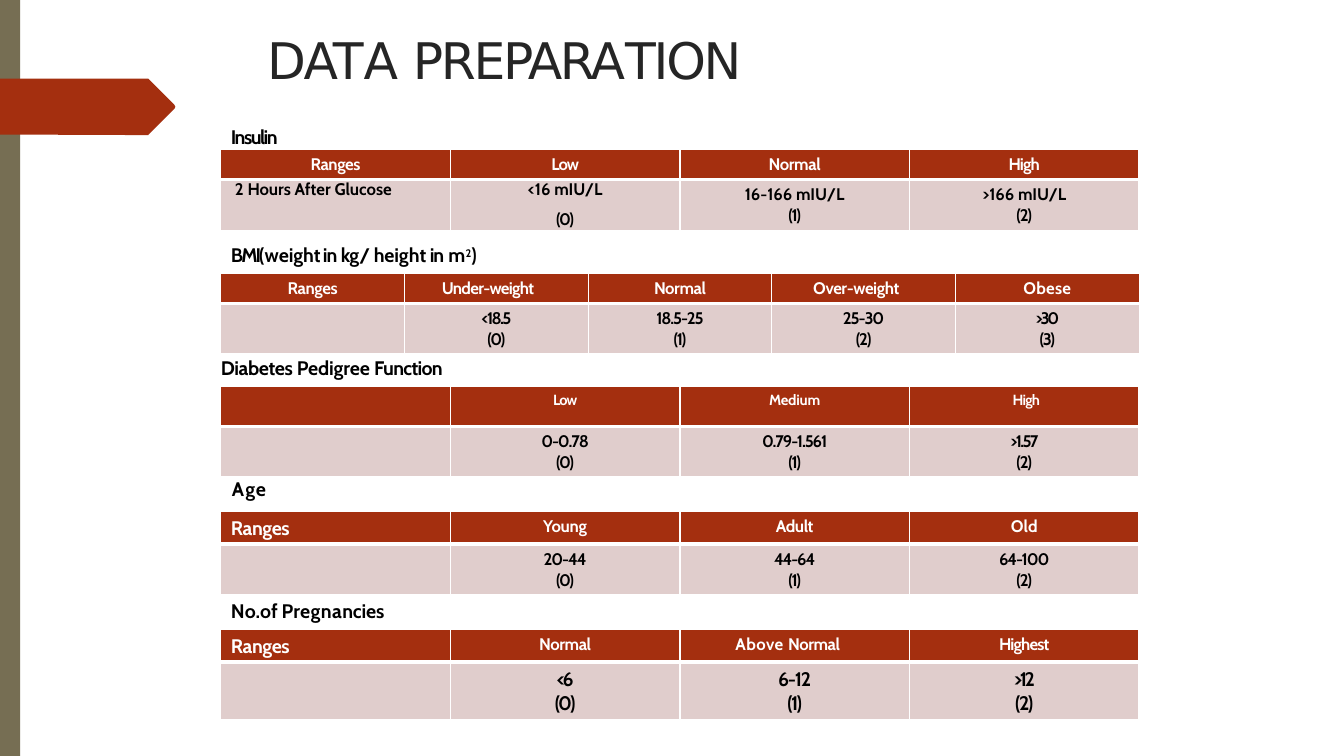
"""Build the data preparation slide with its five range tables."""
from dataclasses import dataclass
from typing import NamedTuple, Optional

from lxml import etree
from pptx import Presentation
from pptx import slide as s
from pptx import util as u
from pptx.dml import color as c
from pptx.enum import shapes, text
from pptx.oxml import ns
from pptx.text import text as t


@dataclass(frozen=True)
class Theme:
    olive: str = "766E53"
    rust: str = "A42F0F"
    blush: str = "E0CDCC"
    white: str = "FFFFFF"
    black: str = "000000"
    charcoal: str = "252525"
    body_font: str = "Cabin"
    title_font: str = "DejaVu Sans"
    title: float = 36
    label: float = 14
    cell: float = 12
    small: float = 10.5
    superscript: float = 13.5
    thin: float = 1
    thick: float = 3


THEME = Theme()
WIDTH, HEIGHT = u.Inches(13.33), u.Inches(7.5)
TABLE_LEFT, TABLE_WIDTH = 16.43, 68.33
CELL_INSET, LABEL_INSET, LABEL_HEIGHT = 0.67, 0.13, 3.47


def cols(count: float) -> u.Emu:
    return u.Emu(round(WIDTH * count / 100))


def rows(count: float) -> u.Emu:
    return u.Emu(round(HEIGHT * count / 100))


class Span(NamedTuple):
    words: str
    spacing: float = 0
    size: Optional[float] = None
    raised: bool = False


class Line(NamedTuple):
    spans: list[Span]
    before: float = 0
    indent: float = 0
    centred: bool = True
    exact: Optional[float] = None


class Entry(NamedTuple):
    lines: list[Line]
    inset: float = CELL_INSET


class Look(NamedTuple):
    size: float
    colour: str
    font: str = THEME.body_font
    bold: bool = True


class Label(NamedTuple):
    left: float
    top: float
    width: float
    spans: list[Span]
    before: float = 1.1
    indent: float = 0.08
    height: float = LABEL_HEIGHT
    look: Look = Look(THEME.label, THEME.black)


class RangeTable(NamedTuple):
    top: float
    heights: tuple[float, float]
    header: list[Entry]
    body: list[Entry]
    header_size: float = THEME.cell
    body_size: float = THEME.cell


EMPTY = Entry([])


def head(words: str, spacing: float, before: float = 3.5, indent: float = 0,
         centred: bool = True, size: Optional[float] = None) -> Entry:
    return Entry([Line([Span(words, spacing, size)], before, indent, centred)])


def graded(rank: int, *spans: Span, before: float = 3.5, tight: float = -0.9) -> Entry:
    return Entry([Line(list(spans), before), Line([Span(f"({rank})", tight)])])


def graded_row(ranges: list[tuple[str, float]], before: float = 3.5, tight: float = -0.9) -> list[Entry]:
    return [EMPTY] + [graded(rank, Span(*span), before=before, tight=tight)
                      for rank, span in enumerate(ranges)]


RANGES = head("Ranges", -0.3, 3.4)
LARGE_RANGES = head("Ranges", -0.3, indent=0.75, centred=False, size=THEME.label)
TABLES = [
    RangeTable(19.73, (4, 6.8),
               [RANGES, head("Low", -0.8, 3.4), head("Normal", -0.3, 3.4), head("High", -0.6, 3.4)],
               [Entry([Line([Span("2 "), Span("Hour", -0.1), Span("s After Glucose")],
                            indent=1.05, centred=False, exact=14.2)], 0),
                Entry([Line([Span("<1", -0.1), Span("6 mIU/L")], exact=14.2),
                       Line([Span("(0)", -0.9)], 8.1, exact=13.6)], 0),
                graded(1, Span("16", -0.1), Span("-"), Span("16", -0.1), Span("6 mIU/L"), before=3.4),
                graded(2, Span(">16", -0.1), Span("6 mIU/L"), before=3.4)]),
    RangeTable(36.13, (4, 6.67),
               [RANGES, head("Under-weight", -0.5, 3.4, 2.78, False), head("Normal", -0.3, 3.4),
                head("Over-weight", -0.3, 3.4, 3.08, False), head("Obese", 0.2, 3.4)],
               graded_row([("<18.5", -1.2), ("18.5-25", -0.8), ("25-30", -0.8), (">30", -1.6)], 3.4)),
    RangeTable(51.07, (5.33, 6.67),
               [EMPTY, head("Low", -0.7), head("Medium", -0.1), head("High", -0.5, indent=0.3)],
               graded_row([("0-0.78", -0.8), ("0.79-1.561", -0.8), (">1.57", -1.2)]),
               header_size=THEME.small),
    RangeTable(67.6, (4.4, 6.67),
               [LARGE_RANGES, head("Young", -0.2), head("Adult", -0.3), head("Old", 0.1)],
               graded_row([("20-44", -0.8), ("44-64", -0.8), ("64-100", -0.8)])),
    RangeTable(83.2, (4.4, 7.6),
               [LARGE_RANGES, head("Normal", -0.3),
                Entry([Line([Span("Above ", 0.3), Span("Normal", -0.3)], 3.5, 4.13, False)]),
                head("Highest", -0.6)],
               graded_row([("<6", -2.1), ("6-12", -0.8), (">12", -1.8)], tight=-1.1),
               body_size=THEME.label),
]
LABELS = [
    Label(19.8, 3.73, 36.23, [Span("DAT", -1), Span("A ", -0.9), Span("PREPARA", -1.7), Span("TION", -1.6)],
          1, height=8.4, look=Look(THEME.title, THEME.charcoal, THEME.title_font, False)),
    Label(17.1, 16.4, 4.58, [Span("Insulin", -1.1)]),
    Label(16.88, 32, 22.35,
          [Span("BMI(", -1.4), Span("w", -1.2), Span("eigh", -0.1), Span("t ", -1.6), Span("in ", -0.7),
           Span("kg", -0.6), Span("/ ", -0.5), Span("heig", -0.1), Span("h", -1.4), Span("t ", -0.8),
           Span("in", -0.7), Span(" m", -0.2), Span("2", -0.8, THEME.superscript, True), Span(")", -1.1)],
          indent=0.3),
    Label(16.35, 46.93, 19.65, [Span("Diabetes ", -0.3), Span("Pedigree ", -0.1), Span("Function", -0.5)]),
    Label(17.18, 62.93, 3.23, [Span("A", 0.8), Span("ge", 0.5)], 1),
    Label(17.1, 79.07, 13.13,
          [Span("N", -0.5), Span("o.", -0.1), Span("o", -0.8), Span("f ", -0.5), Span("P", -1.4),
           Span("r", -1.7), Span("egn", 0.3), Span("a", 0.2), Span("ncies", -0.1)], 1),
]
ARROW = [(0, 10.4), (11.03, 10.4), (11.1, 10.53), (12.98, 13.87), (13.05, 14.13),
         (12.98, 14.4), (11.1, 17.73), (11.03, 17.87), (0, 17.8)]


def write(frame: t.TextFrame, lines: list[Line], look: Look) -> None:
    for index, line in enumerate(lines):
        para = frame.add_paragraph() if index else frame.paragraphs[0]
        para.alignment = text.PP_ALIGN.CENTER if line.centred else text.PP_ALIGN.LEFT
        para.space_before = u.Pt(line.before)
        if line.exact:
            para.line_spacing = u.Pt(line.exact)
        para._p.get_or_add_pPr().set("marL", str(cols(line.indent)))
        for part in line.spans:
            span = para.add_run()
            span.text = part.words
            span.font.name, span.font.bold = look.font, look.bold
            span.font.size = u.Pt(part.size or look.size)
            span.font.color.rgb = c.RGBColor.from_string(look.colour)
            marks = span._r.get_or_add_rPr()
            marks.set("spc", str(round(part.spacing * 100)))
            if part.raised:
                marks.set("baseline", "25000")


def draw_label(page: s.Slide, label: Label) -> None:
    box = page.shapes.add_textbox(cols(label.left), rows(label.top), cols(label.width), rows(label.height))
    frame = box.text_frame
    frame.word_wrap, frame.auto_size = True, text.MSO_AUTO_SIZE.SHAPE_TO_FIT_TEXT
    frame.margin_left = frame.margin_right = frame.margin_bottom = 0
    frame.margin_top = rows(LABEL_INSET)
    write(frame, [Line(label.spans, label.before, label.indent, False)], label.look)


def draw_table(page: s.Slide, plan: RangeTable) -> None:
    count = len(plan.header)
    table = page.shapes.add_table(2, count, cols(TABLE_LEFT), rows(plan.top), cols(TABLE_WIDTH),
                                  rows(sum(plan.heights))).table
    table.first_row = table.horz_banding = False
    for column in table.columns:
        column.width = cols(TABLE_WIDTH / count)
    bands = [(plan.header, THEME.rust, Look(plan.header_size, THEME.white), "lnB"),
             (plan.body, THEME.blush, Look(plan.body_size, THEME.black), "lnT")]
    for row, (entries, fill, look, thick_side) in enumerate(bands):
        table.rows[row].height = rows(plan.heights[row])
        for column, entry in enumerate(entries):
            cell = table.cell(row, column)
            cell.margin_left = cell.margin_right = cell.margin_bottom = 0
            cell.margin_top = rows(entry.inset)
            for side in ("lnL", "lnR", "lnT", "lnB"):
                weight = THEME.thick if side == thick_side else THEME.thin
                edge = etree.SubElement(cell._tc.get_or_add_tcPr(), ns.qn(f"a:{side}"), w=str(u.Pt(weight)))
                paint = etree.SubElement(edge, ns.qn("a:solidFill"))
                etree.SubElement(paint, ns.qn("a:srgbClr"), val=THEME.white)
            cell.fill.solid()
            cell.fill.fore_color.rgb = c.RGBColor.from_string(fill)
            write(cell.text_frame, entry.lines, look)


def draw_margin(page: s.Slide) -> None:
    bar = page.shapes.add_shape(shapes.MSO_SHAPE.RECTANGLE, 0, 0, cols(1.5), HEIGHT)
    corners = [(cols(x), rows(y)) for x, y in ARROW]
    outline = page.shapes.build_freeform(*corners[0])
    outline.add_line_segments(corners[1:], close=True)
    for shape, colour in ((bar, THEME.olive), (outline.convert_to_shape(), THEME.rust)):
        shape.shadow.inherit = False
        shape.fill.solid()
        shape.fill.fore_color.rgb = c.RGBColor.from_string(colour)
        shape.line.fill.background()


def main() -> None:
    deck = Presentation()
    deck.slide_width, deck.slide_height = WIDTH, HEIGHT
    page = deck.slides.add_slide(deck.slide_layouts[6])
    draw_margin(page)
    for plan in TABLES:
        draw_table(page, plan)
    for label in LABELS:
        draw_label(page, label)
    deck.save("out.pptx")


if __name__ == "__main__":
    main()
